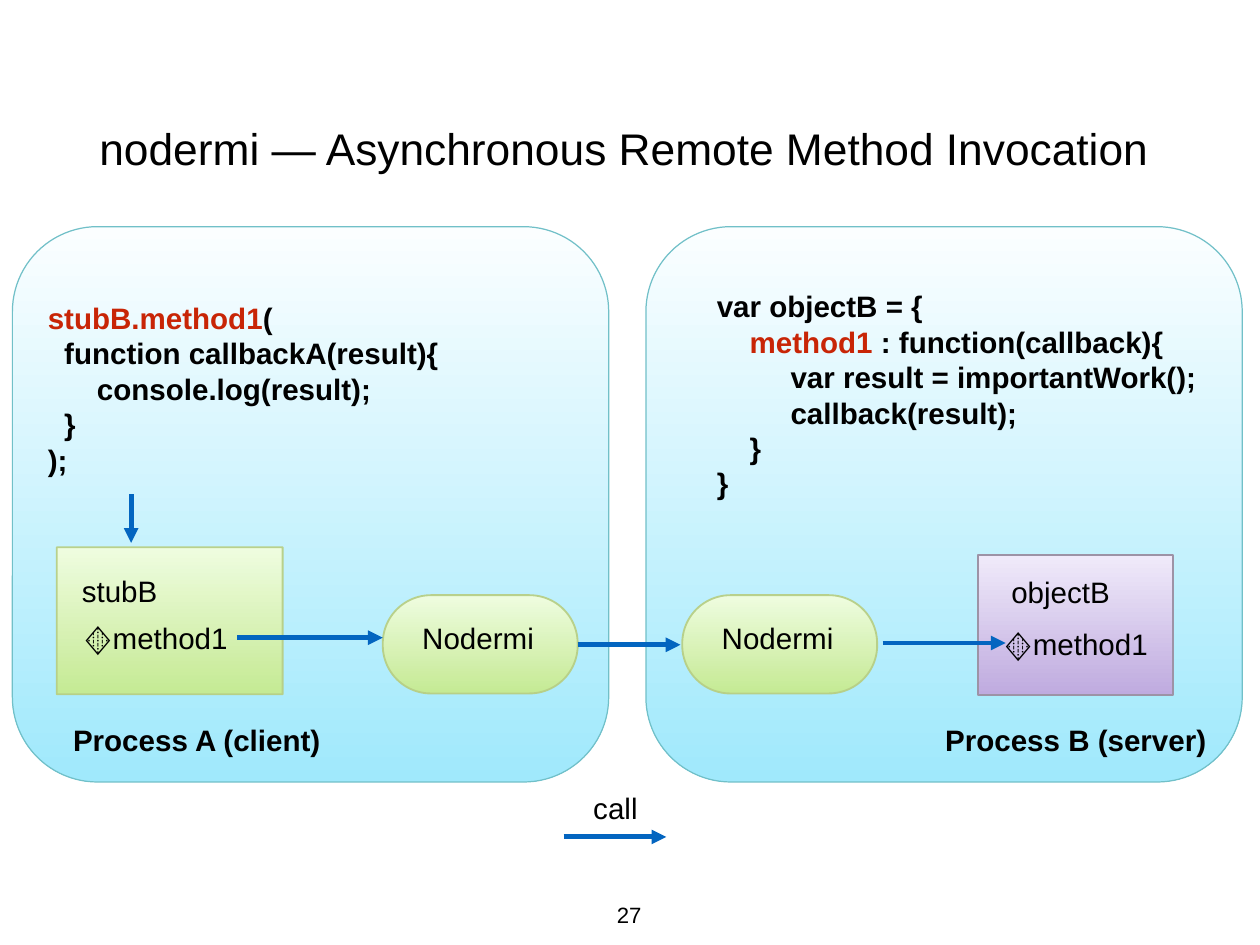
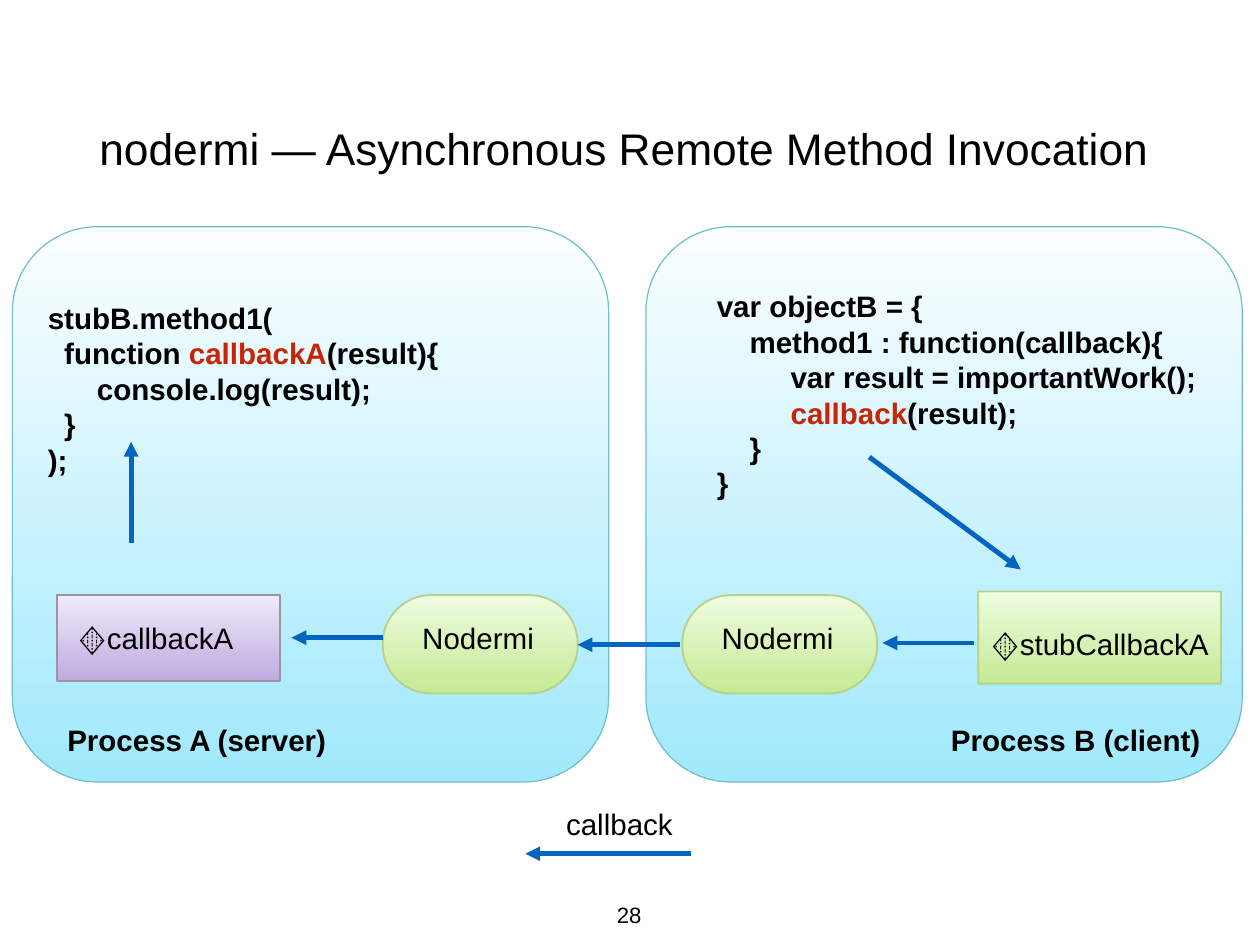
from dataclasses import dataclass

from lxml import etree
from pptx import Presentation
from pptx.dml.color import RGBColor
from pptx.enum.shapes import MSO_CONNECTOR, MSO_SHAPE
from pptx.enum.text import MSO_ANCHOR, MSO_AUTO_SIZE, PP_ALIGN
from pptx.oxml.ns import qn
from pptx.util import Inches, Pt

RECT, ROUND = MSO_SHAPE.RECTANGLE, MSO_SHAPE.ROUNDED_RECTANGLE
STRAIGHT = MSO_CONNECTOR.STRAIGHT
LEFT, CENTER = PP_ALIGN.LEFT, PP_ALIGN.CENTER
TOP, MIDDLE = MSO_ANCHOR.TOP, MSO_ANCHOR.MIDDLE

COLORS = {
    "text": "000000", "mark": "C82506", "arrow": "0365C0",
    "panel_top": "FBFEFF", "panel_end": "A0E9FC", "panel_line": "71C0C8",
    "stub_top": "F2FEDF", "stub_end": "C7EA8F", "stub_line": "B7CF87",
    "object_top": "F0EAFA", "object_end": "BFABDF", "object_line": "9D93A6",
}
TITLE = "nodermi — Asynchronous Remote Method Invocation "
BODY = {"name": "Arial", "size": Pt(24), "bold": False}
BOLD = {**BODY, "bold": True}
HEADING = {**BODY, "size": Pt(36)}
NUMBER = {**BODY, "size": Pt(18)}
INSET = 0.06
PANEL_LEFTS = (0.14, 7.29)
NODE_LEFTS = (4.32, 7.7)
CODE_BOXES = ((0.48, 3.23, 6.05, 2.31), (8.03, 3.15, 6.05, 2.61))
PROCESS_BOXES = ((0.52, 8.1, 3.4, 0.51), (10.54, 8.1, 3.2, 0.51))
CODE = (
    (
        "stubB.method1(",
        "  function callbackA(result){",
        "      console.log(result);",
        "  }",
        ");",
    ),
    (
        "var objectB = {",
        "    method1 : function(callback){",
        "         var result = importantWork();",
        "         callback(result);",
        "    }",
        "}",
    ),
)

Box = tuple[float, float, float, float]


@dataclass(frozen=True)
class Label:
    text: str
    box: Box


@dataclass(frozen=True)
class Card:
    kind: str
    box: Box


@dataclass(frozen=True)
class Arrow:
    start: tuple[float, float]
    end: tuple[float, float]


@dataclass(frozen=True)
class Mark:
    line: int
    word: str


@dataclass(frozen=True)
class Scene:
    number: int
    marks: tuple[Mark, Mark]
    processes: tuple[str, str]
    cards: tuple[Card, ...]
    labels: tuple[Label, ...]
    arrows: tuple[Arrow, ...]


SCENES = (
    Scene(
        27,
        (Mark(0, "stubB.method1"), Mark(1, "method1")),
        ("Process A (client)", "Process B (server)"),
        (Card("stub", (0.64, 6.18, 2.55, 1.66)), Card("object", (11.04, 6.27, 2.2, 1.58))),
        (
            Label("stubB", (0.77, 6.35, 1.16, 0.63)),
            Label("🔶method1", (0.72, 6.88, 2.07, 0.63)),
            Label("objectB", (11.27, 6.42, 1.4, 0.51)),
            Label("🔶method1", (11.2, 6.95, 1.88, 0.63)),
            Label("call", (6.6, 8.84, 0.69, 0.55)),
        ),
        (
            Arrow((1.48, 5.58), (1.48, 6.13)),
            Arrow((2.68, 7.2), (4.32, 7.2)),
            Arrow((6.52, 7.28), (7.68, 7.28)),
            Arrow((9.96, 7.26), (11.35, 7.26)),
            Arrow((6.36, 9.45), (7.52, 9.45)),
        ),
    ),
    Scene(
        28,
        (Mark(1, "callbackA"), Mark(3, "callback")),
        ("Process A (server)", "Process B (client)"),
        (Card("object", (0.64, 6.72, 2.52, 0.97)), Card("stub", (11.04, 6.68, 2.74, 1.04))),
        (
            Label("🔶callbackA", (0.72, 6.88, 2.07, 0.63)),
            Label("🔶stubCallbackA", (11.04, 6.95, 2.74, 0.63)),
            Label("callback", (6.17, 9.02, 1.64, 0.55)),
        ),
        (
            Arrow((9.81, 5.16), (11.52, 6.43)),
            Arrow((10.99, 7.26), (9.96, 7.26)),
            Arrow((7.68, 7.28), (6.52, 7.28)),
            Arrow((4.32, 7.2), (3.29, 7.2)),
            Arrow((1.48, 6.13), (1.48, 4.99)),
            Arrow((7.8, 9.64), (5.93, 9.64)),
        ),
    ),
)


def rgb(name: str) -> RGBColor:
    return RGBColor.from_string(COLORS[name])


def add_run(p, text: str, style: dict, color: str = "text") -> None:
    r = p.add_run()
    r.text = text
    for key, value in style.items():
        setattr(r.font, key, value)
    r.font.color.rgb = rgb(color)


def set_frame(tf, anchor=MIDDLE, wrap: bool = True) -> None:
    tf.word_wrap = wrap
    tf.auto_size = MSO_AUTO_SIZE.NONE
    tf.vertical_anchor = anchor
    for side in ("left", "top", "right", "bottom"):
        setattr(tf, f"margin_{side}", Inches(INSET))


def add_label(s, label: Label, style: dict = BODY, anchor=MIDDLE, wrap: bool = True) -> None:
    tf = s.shapes.add_textbox(*map(Inches, label.box)).text_frame
    set_frame(tf, anchor, wrap)
    p = tf.paragraphs[0]
    p.alignment = CENTER
    add_run(p, label.text, style)


def add_card(s, kind: str, box: Box, shape=RECT, corner: float = 0, line: float = 1.5):
    sp = s.shapes.add_shape(shape, *map(Inches, box))
    sp.shadow.inherit = False
    if corner:
        sp.adjustments[0] = corner
    sp.fill.gradient()
    sp.fill.gradient_angle = 270
    for stop, part in zip(sp.fill.gradient_stops, ("top", "end")):
        stop.color.rgb = rgb(f"{kind}_{part}")
    sp.line.color.rgb = rgb(f"{kind}_line")
    sp.line.width = Pt(line)
    if kind == "stub":
        for color in list(sp._element.spPr.iter(qn("a:srgbClr"))):
            etree.SubElement(color, qn("a:alpha"), val="94000")
    return sp


def add_node(s, left: float) -> None:
    sp = add_card(s, "stub", (left, 6.72, 2.2, 1.11), ROUND, 0.49)
    tf = sp.text_frame
    set_frame(tf)
    tf.margin_right = Inches(INSET + 0.05)
    tf.margin_bottom = Inches(INSET + 0.15)
    p = tf.paragraphs[0]
    p.alignment = CENTER
    add_run(p, "Nodermi", BODY)


def add_arrow(s, arrow: Arrow) -> None:
    cx = s.shapes.add_connector(STRAIGHT, *map(Inches, (*arrow.start, *arrow.end)))
    cx.line.color.rgb = rgb("arrow")
    cx.line.width = Pt(4)
    spPr = cx._element.spPr
    etree.SubElement(spPr.find(qn("a:ln")), qn("a:tailEnd"), type="triangle")
    etree.SubElement(spPr, qn("a:effectLst"))


def add_code(s, lines: tuple[str, ...], mark: Mark, box: Box) -> None:
    tf = s.shapes.add_textbox(*map(Inches, box)).text_frame
    set_frame(tf)
    for i, line in enumerate(lines):
        p = tf.paragraphs[0] if i == 0 else tf.add_paragraph()
        p.alignment = LEFT
        parts = line.partition(mark.word) if i == mark.line else (line, "", "")
        for text, color in zip(parts, ("text", "mark", "text")):
            if text:
                add_run(p, text, BOLD, color)


def add_title(s) -> None:
    title = s.shapes.title
    title.left, title.top, title.width, title.height = map(Inches, (1.04, 0.49, 12.14, 2.36))
    set_frame(title.text_frame)
    p = title.text_frame.paragraphs[0]
    p.alignment = CENTER
    add_run(p, TITLE, HEADING)


def add_scene(prs, scene: Scene) -> None:
    s = prs.slides.add_slide(prs.slide_layouts[5])
    add_title(s)
    add_label(s, Label(str(scene.number), (6.9, 10.12, 0.4, 0.42)), NUMBER, TOP, False)
    for left in PANEL_LEFTS:
        add_card(s, "panel", (left, 2.56, 6.73, 6.27), ROUND, 0.153, 1)
    for left in NODE_LEFTS:
        add_node(s, left)
    for card in scene.cards:
        add_card(s, card.kind, card.box)
    for label in scene.labels:
        add_label(s, label)
    for text, box in zip(scene.processes, PROCESS_BOXES):
        add_label(s, Label(text, box), BOLD)
    for lines, mark, box in zip(CODE, scene.marks, CODE_BOXES):
        add_code(s, lines, mark, box)
    for arrow in scene.arrows:
        add_arrow(s, arrow)


def main() -> None:
    prs = Presentation()
    prs.slide_width, prs.slide_height = Inches(14.22), Inches(10.67)
    for scene in SCENES:
        add_scene(prs, scene)
    prs.save("out.pptx")


if __name__ == "__main__":
    main()
